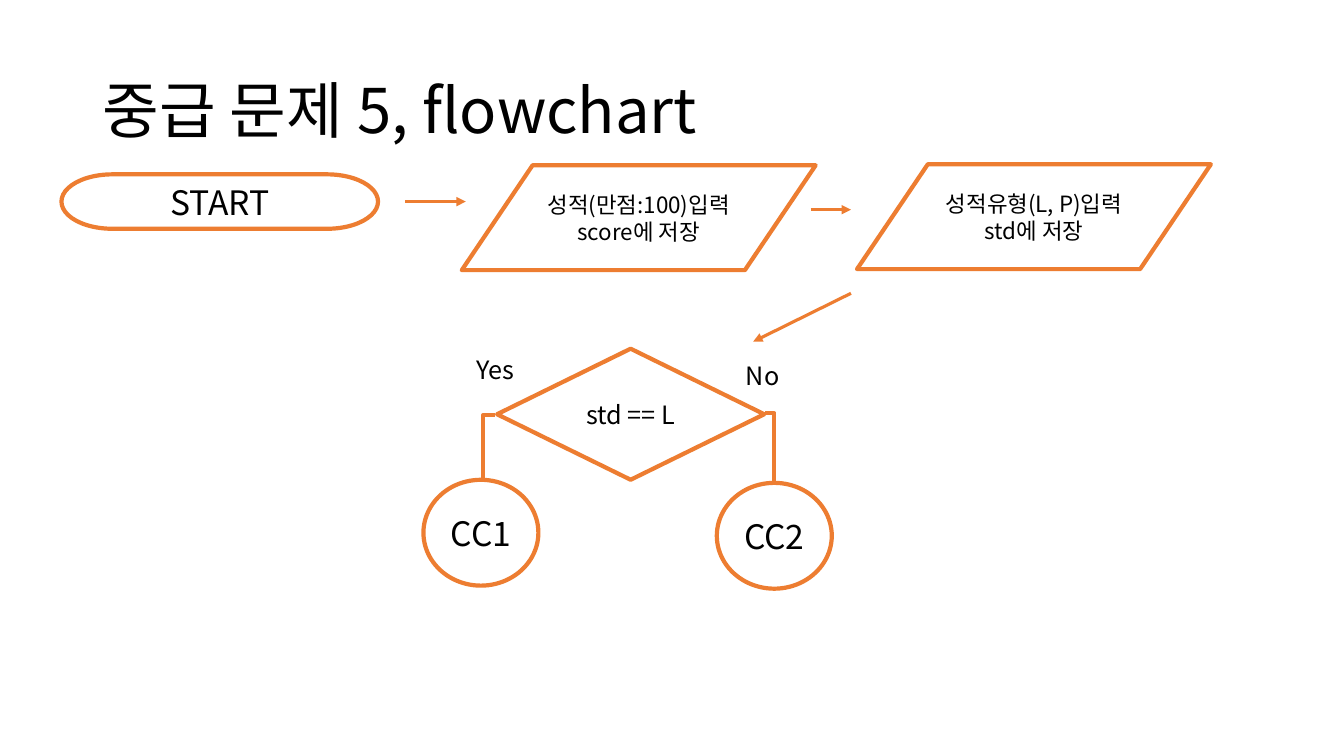
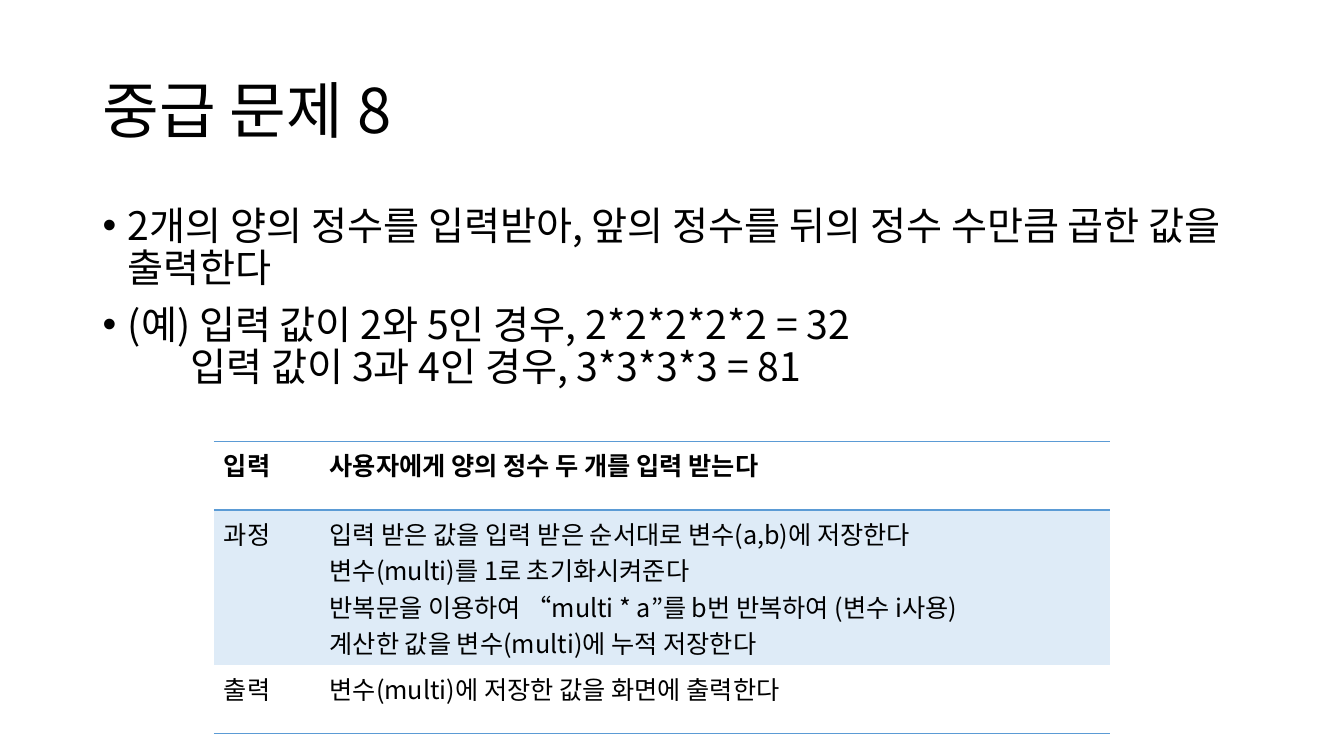
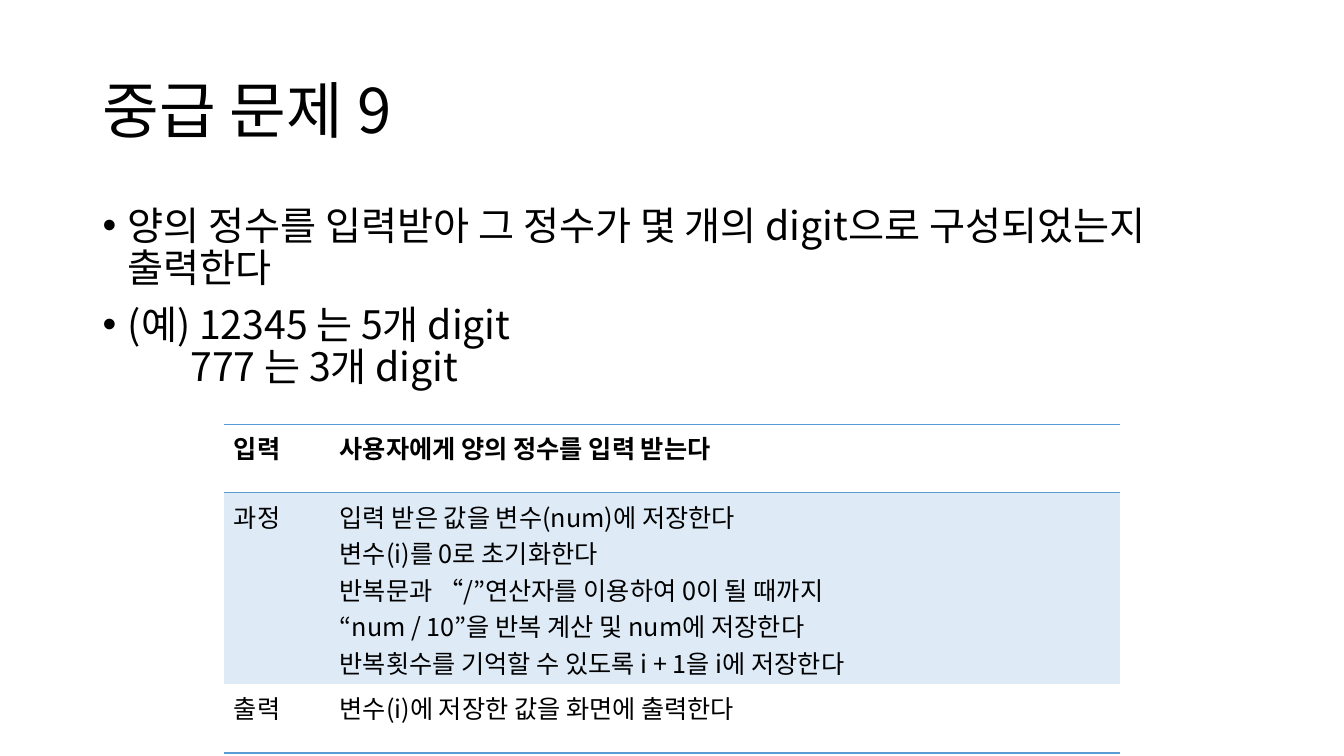
from lxml import etree
from pptx import Presentation
from pptx.dml.color import RGBColor
from pptx.enum.shapes import MSO_CONNECTOR, MSO_SHAPE
from pptx.enum.text import MSO_ANCHOR, PP_ALIGN
from pptx.oxml.ns import qn
from pptx.util import Inches, Pt

FONT = "Noto Sans CJK KR"
BLACK = RGBColor(0x00, 0x00, 0x00)
WHITE = RGBColor(0xFF, 0xFF, 0xFF)
ORANGE = RGBColor(0xED, 0x7D, 0x31)
BLUE = RGBColor(0x5B, 0x9B, 0xD5)
PALE = RGBColor(0xDE, 0xEB, 0xF7)
PLAIN = "{2D5ABB26-0587-4C30-8999-92F81FD0307C}"

PILL = MSO_SHAPE.FLOWCHART_TERMINATOR
INPUT = MSO_SHAPE.FLOWCHART_DATA
TEST = MSO_SHAPE.FLOWCHART_DECISION
OVAL = MSO_SHAPE.OVAL
LINE = MSO_CONNECTOR.STRAIGHT
ELBOW = MSO_CONNECTOR.ELBOW
MIDDLE = MSO_ANCHOR.MIDDLE
CENTER = PP_ALIGN.CENTER

# Table rows: name and ruled sides
ROWS = (("입력", ("a:lnT", "a:lnB")), ("과정", ()), ("출력", ("a:lnB",)))


def box(at):
    return [Inches(n) for n in at]


class Deck:
    def __init__(self):
        self.show = Presentation()
        self.show.slide_width = Inches(13.33)
        self.show.slide_height = Inches(7.5)

    def page(self, title):
        """Start a slide with its title."""
        self.slide = self.show.slides.add_slide(self.show.slide_layouts[6])
        frame = self.label((0.92, 0.4, 11.5, 1.45), title, 44)
        frame.vertical_anchor = MIDDLE
        frame.paragraphs[0].line_spacing = 0.9

    def style(self, para, size, bold=False):
        font = para.font
        font.size, font.bold, font.name = Pt(size), bold, FONT
        font.color.rgb = BLACK
        latin = para._p.pPr.find(qn("a:defRPr")).find(qn("a:latin"))
        latin.addnext(etree.Element(qn("a:ea"), typeface=FONT))

    def put(self, frame, text, size, align=None, bold=False):
        frame.word_wrap = True
        frame.text = text
        for para in frame.paragraphs:
            para.alignment = align
            self.style(para, size, bold)

    def label(self, at, text, size, fill=None):
        shape = self.slide.shapes.add_textbox(*box(at))
        if fill is not None:
            shape.fill.solid()
            shape.fill.fore_color.rgb = fill
        self.put(shape.text_frame, text, size)
        return shape.text_frame

    def node(self, kind, at, text, size):
        """Outlined flowchart shape with centred text."""
        shape = self.slide.shapes.add_shape(kind, *box(at))
        shape.shadow.inherit = False
        shape.fill.solid()
        shape.fill.fore_color.rgb = WHITE
        shape.line.color.rgb = ORANGE
        shape.line.width = Pt(3)
        shape.text_frame.vertical_anchor = MIDDLE
        self.put(shape.text_frame, text, size, CENTER)

    def link(self, kind, ends, width):
        line = self.slide.shapes.add_connector(kind, *box(ends))
        line.line.color.rgb = ORANGE
        line.line.width = Pt(width)
        props = line._element.spPr
        etree.SubElement(props, qn("a:effectLst"))
        return props

    def arrow(self, *ends):
        props = self.link(LINE, ends, 2.25)
        etree.SubElement(props.find(qn("a:ln")), qn("a:tailEnd"), type="triangle")

    def bend(self, *ends):
        """One-corner connector: across, then down."""
        props = self.link(ELBOW, ends, 3)
        props.find(qn("a:prstGeom")).set("prst", "bentConnector2")

    def points(self, items):
        """Bulleted lines, each item with an optional unmarked follow-on."""
        frame = self.slide.shapes.add_textbox(*box((0.92, 2, 11.5, 4.76))).text_frame
        frame.word_wrap = True
        rows = [(n, text) for item in items for n, text in enumerate(item)]
        frame.text = "\n".join(text for _, text in rows)
        for i, (n, _) in enumerate(rows):
            para = frame.paragraphs[i]
            props = para._p.get_or_add_pPr()
            if n:
                props.set("marL", str(Inches(0.87)))
            else:
                props.set("marL", str(Inches(0.25)))
                props.set("indent", str(-Inches(0.25)))
                etree.SubElement(props, qn("a:buFont"), typeface="Arial")
                etree.SubElement(props, qn("a:buChar"), char="•")
                if i:
                    para.space_before = Pt(10)
            para.line_spacing = 0.9
            self.style(para, 28)

    def edge(self, cell, side):
        line = etree.SubElement(cell._tc.get_or_add_tcPr(), qn(side), w=str(Pt(1)))
        fill = etree.SubElement(line, qn("a:solidFill"))
        etree.SubElement(fill, qn("a:srgbClr"), val=str(BLUE))

    def steps(self, left, top, texts):
        """Input, process and output table."""
        highs = [0.68, 0.1 + 0.36 * len(texts[1].split("\n")), 0.68]
        at = box((left, top, 8.89, sum(highs)))
        table = self.slide.shapes.add_table(3, 2, *at).table
        table._tbl.tblPr.find(qn("a:tableStyleId")).text = PLAIN
        table.first_row = table.horz_banding = False
        for col, wide in zip(table.columns, (1.05, 7.84)):
            col.width = Inches(wide)
        for r, (name, sides) in enumerate(ROWS):
            table.rows[r].height = Inches(highs[r])
            for c, text in enumerate((name, texts[r])):
                cell = table.cell(r, c)
                for side in sides:
                    self.edge(cell, side)
                if sides:
                    cell.fill.background()
                else:
                    cell.fill.solid()
                    cell.fill.fore_color.rgb = PALE
                self.put(cell.text_frame, text, 18, bold=r == 0)


def main():
    deck = Deck()

    # Flowchart
    deck.page("중급 문제 5, flowchart")
    deck.node(PILL, (0.61, 1.73, 3.14, 0.54), "START", 24)
    deck.arrow(4.02, 2, 4.62, 2)
    deck.node(INPUT, (4.58, 1.64, 3.51, 1.04), "성적(만점:100)입력\nscore에 저장", 16)
    deck.arrow(8.04, 2.08, 8.44, 2.08)
    deck.node(INPUT, (8.5, 1.63, 3.51, 1.04), "성적유형(L, P)입력\nstd에 저장", 16)
    deck.arrow(8.44, 2.91, 7.47, 3.39)
    deck.node(TEST, (4.93, 3.46, 2.65, 1.3), "std == L", 18)

    # Branches
    deck.label((4.63, 3.47, 0.7, 0.4), "Yes", 18, WHITE)
    deck.bend(4.91, 4.12, 4.79, 4.98)
    deck.label((7.3, 3.53, 0.67, 0.4), "No", 18, WHITE)
    deck.bend(7.59, 4.1, 7.68, 5.02)
    deck.node(OVAL, (4.2, 4.76, 1.14, 1.05), "CC1", 24)
    deck.node(OVAL, (7.11, 4.79, 1.14, 1.05), "CC2", 24)

    # Powers
    deck.page("중급 문제 8")
    deck.points([
        ["2개의 양의 정수를 입력받아, 앞의 정수를 뒤의 정수 수만큼 곱한 값을 출력한다"],
        ["(예) 입력 값이 2와 5인 경우, 2*2*2*2*2 = 32",
         "입력 값이 3과 4인 경우, 3*3*3*3 = 81"],
    ])
    deck.steps(2.12, 4.38, (
        "사용자에게 양의 정수 두 개를 입력 받는다",
        "입력 받은 값을 입력 받은 순서대로 변수(a,b)에 저장한다\n"
        "변수(multi)를 1로 초기화시켜준다\n"
        "반복문을 이용하여 “multi * a”를 b번 반복하여 (변수 i사용)\n"
        "계산한 값을 변수(multi)에 누적 저장한다",
        "변수(multi)에 저장한 값을 화면에 출력한다",
    ))

    # Digits
    deck.page("중급 문제 9")
    deck.points([
        ["양의 정수를 입력받아 그 정수가 몇 개의 digit으로 구성되었는지 출력한다"],
        ["(예) 12345 는 5개 digit", "777 는 3개 digit"],
    ])
    deck.steps(2.22, 4.21, (
        "사용자에게 양의 정수를 입력 받는다",
        "입력 받은 값을 변수(num)에 저장한다\n"
        "변수(i)를 0로 초기화한다\n"
        "반복문과 “/”연산자를 이용하여 0이 될 때까지\n"
        "“num / 10”을 반복 계산 및 num에 저장한다\n"
        "반복횟수를 기억할 수 있도록 i + 1을 i에 저장한다",
        "변수(i)에 저장한 값을 화면에 출력한다",
    ))

    deck.show.save("out.pptx")


if __name__ == "__main__":
    main()
